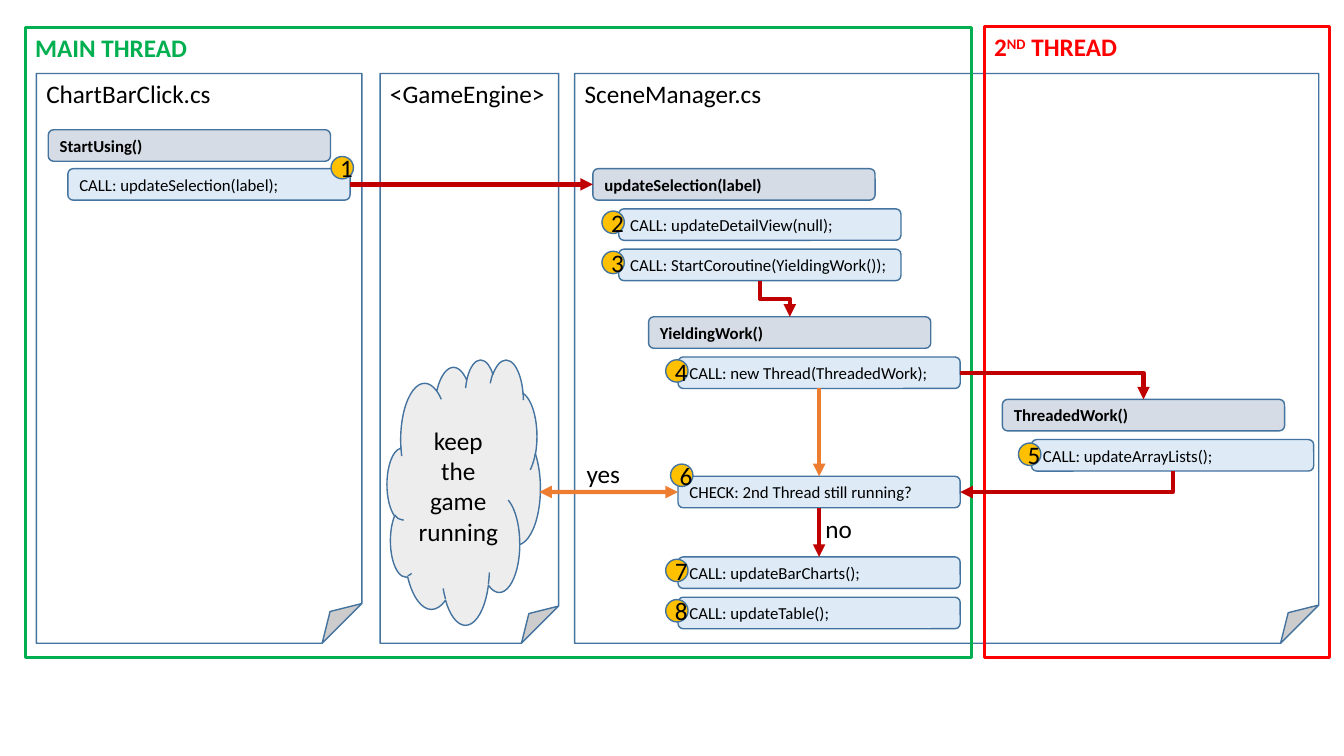
"""Build a slide that shows the call flow between the main thread and a second thread."""
from lxml.etree import SubElement
from pptx import Presentation
from pptx.dml.color import RGBColor
from pptx.enum.shapes import MSO_CONNECTOR, MSO_SHAPE
from pptx.enum.text import MSO_ANCHOR, PP_ALIGN
from pptx.oxml.ns import qn
from pptx.util import Pt

BLACK, EDGE, RED, ORANGE = "000000", "43739E", "C00000", "ED7D31"
TOP, LEFT, BOTTOM, RIGHT = range(4)
BOX_WIDTH, BOX_HEIGHT, BADGE = 201.6, 22.5, 16

deck = Presentation()
deck.slide_width, deck.slide_height = Pt(960), Pt(540)
page = deck.slides.add_slide(deck.slide_layouts[6])


def paint(target, colour):
    """Give a fill or font colour a solid hex colour."""
    if hasattr(target, "solid"):
        target.solid()
        target.fore_color.rgb = RGBColor.from_string(colour)
    else:
        target.color.rgb = RGBColor.from_string(colour)


def add_shape(kind, frame, text, fill, edge=EDGE, weight=1, colour=BLACK, size=18,
              bold=False, align=PP_ALIGN.LEFT, anchor=MSO_ANCHOR.MIDDLE):
    """Add a shape with its text; text parts at odd places are superscript."""
    shape = page.shapes.add_shape(kind, *map(Pt, frame))
    shape.shadow.inherit = False
    if fill:
        paint(shape.fill, fill)
    else:
        shape.fill.background()
    paint(shape.line.fill, edge)
    shape.line.width = Pt(weight)
    shape.text_frame.vertical_anchor = anchor
    para = shape.text_frame.paragraphs[0]
    para.alignment = align
    for index, part in enumerate(text.split("^")):
        span = para.add_run()
        span.text = part
        for name, value in {"name": "Calibri", "size": Pt(size), "bold": bold}.items():
            setattr(span.font, name, value)
        paint(span.font, colour)
        if index % 2:
            span.font._element.set("baseline", "30000")
    return shape


files = [
    ("<GameEngine>", 271.5, 127.5, 20800),
    ("ChartBarClick.cs", 26, 232.5, 12200),
    ("SceneManager.cs", 410.5, 531.5, 6700),
]
for name, left, width, fold in files:
    sheet = add_shape(MSO_SHAPE.FOLDED_CORNER, (left, 52.5, width, 407), name, "FFFFFF",
                      anchor=MSO_ANCHOR.TOP)
    guides = sheet._element.spPr.find(qn("a:prstGeom")).find(qn("a:avLst"))
    SubElement(guides, qn("a:gd"), name="adj", fmla=f"val {fold}")

threads = [
    ("MAIN THREAD", (18, 19.5, 676, 450), "00B050"),
    ("2^ND^ THREAD", (703, 19, 247, 450.5), "FF0000"),
]
for name, frame, colour in threads:
    add_shape(MSO_SHAPE.RECTANGLE, frame, name, None, colour, 2.25, colour, bold=True,
              anchor=MSO_ANCHOR.TOP)

methods = {
    "start": ("StartUsing()", 34.5, 92.7),
    "selection": ("updateSelection(label)", 423.5, 120.5),
    "yielding": ("YieldingWork()", 463.3, 226.3),
    "threaded": ("ThreadedWork()", 716, 285.3),
}
calls = {
    "call selection": ("CALL: updateSelection(label);", 48.5, 120.5),
    "detail": ("CALL: updateDetailView(null);", 442, 149.2),
    "coroutine": ("CALL: StartCoroutine(YieldingWork());", 442, 178),
    "new thread": ("CALL: new Thread(ThreadedWork);", 484.3, 255),
    "arrays": ("CALL: updateArrayLists();", 736.8, 314),
    "check": ("CHECK: 2nd Thread still running?", 484.3, 340.2),
    "charts": ("CALL: updateBarCharts();", 484.3, 397.8),
    "table": ("CALL: updateTable();", 484.3, 426.6),
}
boxes = {}
for group, fill, bold in ((methods, "D6DCE5", True), (calls, "DEEBF7", False)):
    for key, (text, left, top) in group.items():
        boxes[key] = add_shape(MSO_SHAPE.ROUNDED_RECTANGLE, (left, top, BOX_WIDTH, BOX_HEIGHT),
                               text, fill, size=12, bold=bold)

add_shape(MSO_SHAPE.CLOUD, (276.5, 256.5, 109.5, 189.5), "keep the game running", "EDEDED",
          align=PP_ALIGN.CENTER)

arrows = [
    ("call selection", RIGHT, "selection", LEFT, "line", None, RED),
    ("coroutine", BOTTOM, "yielding", TOP, "bentConnector3", (270, 1), RED),
    ("new thread", RIGHT, "threaded", TOP, "bentConnector2", (0, 0), RED),
    ("new thread", BOTTOM, "check", TOP, "line", None, ORANGE),
    ("check", LEFT, None, None, "line", None, ORANGE),
    ("arrays", BOTTOM, "check", RIGHT, "bentConnector2", (90, 0), RED),
    ("check", BOTTOM, "charts", TOP, "line", None, RED),
]
for source, source_site, target, target_site, geometry, turn, colour in arrows:
    kind = MSO_CONNECTOR.ELBOW if turn else MSO_CONNECTOR.STRAIGHT
    arrow = page.shapes.add_connector(kind, Pt(484.3), Pt(351.4), Pt(385.2), Pt(351.4))
    arrow.begin_connect(boxes[source], source_site)
    if target:
        arrow.end_connect(boxes[target], target_site)
    paint(arrow.line.fill, colour)
    arrow.line.width = Pt(3)
    properties = arrow._element.spPr
    properties.find(qn("a:prstGeom")).set("prst", geometry)
    if turn:
        angle, flip = turn
        if angle:
            shift = (arrow.width - arrow.height) // 2
            arrow.left, arrow.top, arrow.width, arrow.height = (
                arrow.left + shift, arrow.top - shift, arrow.height, arrow.width)
        transform = properties.find(qn("a:xfrm"))
        for name, value in {"rot": angle * 60000, "flipH": flip, "flipV": 0}.items():
            transform.set(name, str(value))
    outline = properties.find(qn("a:ln"))
    for end in ("a:tailEnd",) if target else ("a:headEnd", "a:tailEnd"):
        SubElement(outline, qn(end)).set("type", "triangle")
    SubElement(properties, qn("a:effectLst"))

for text, left, top, width in (("yes", 412, 324, 39), ("no", 582.5, 363, 34)):
    label = page.shapes.add_textbox(Pt(left), Pt(top), Pt(width), Pt(29))
    label.text_frame.word_wrap = False
    span = label.text_frame.paragraphs[0].add_run()
    span.text = text
    for name, value in {"name": "Calibri", "size": Pt(18)}.items():
        setattr(span.font, name, value)
    paint(span.font, BLACK)

badges = [(236.5, 111.8), (430, 150.8), (430, 179.5), (475.5, 257),
          (727.5, 316.5), (479, 331.5), (475.5, 399.5), (475.5, 428.3)]
for number, (left, top) in enumerate(badges, 1):
    add_shape(MSO_SHAPE.OVAL, (left, top, BADGE, BADGE), str(number), "FFC000",
              align=PP_ALIGN.CENTER)

deck.save("out.pptx")
